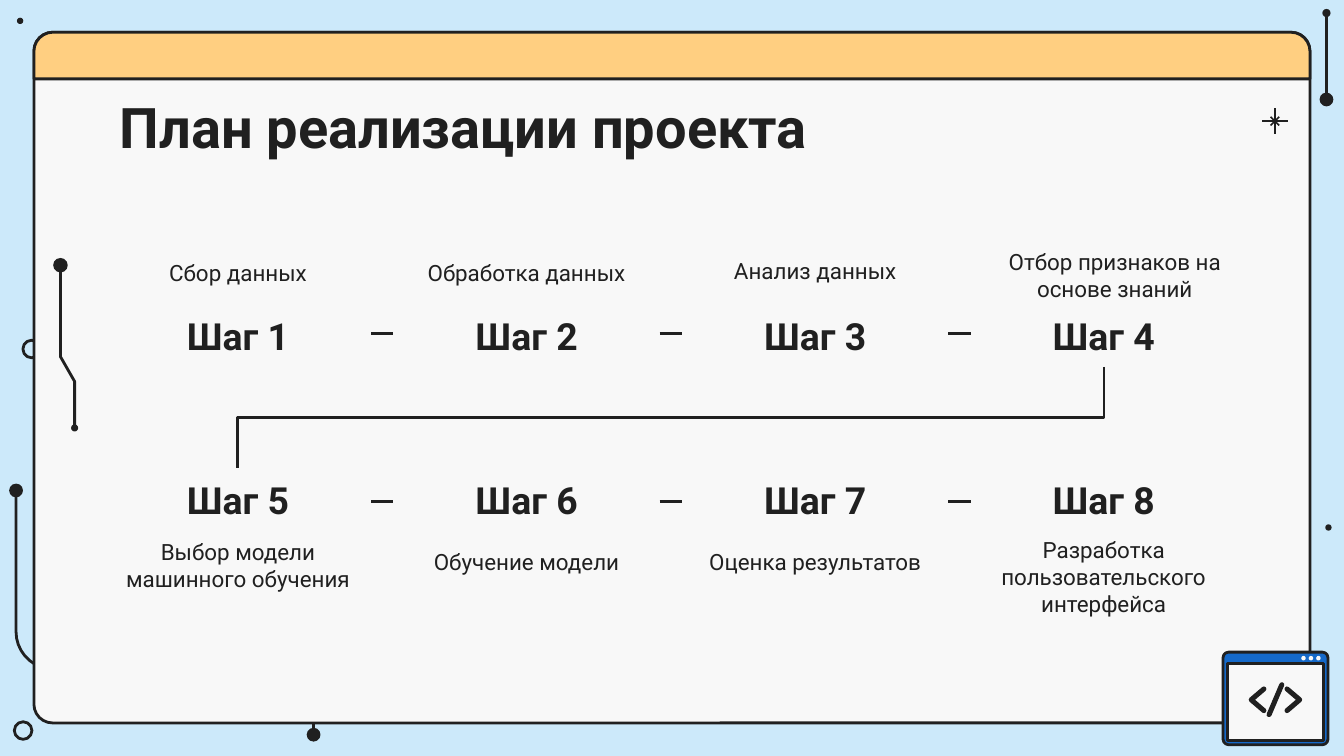
from dataclasses import dataclass
from math import cos, radians, sin

from lxml.etree import SubElement
from pptx import Presentation
from pptx.dml.color import RGBColor
from pptx.enum.shapes import MSO_CONNECTOR, MSO_SHAPE
from pptx.enum.text import MSO_ANCHOR, MSO_AUTO_SIZE, PP_ALIGN
from pptx.oxml.ns import qn
from pptx.util import Pt


@dataclass(frozen=True)
class Theme:
    sky: str = "CCE9FA"
    paper: str = "F8F8F8"
    ink: str = "202020"
    amber: str = "FFCF81"
    blue: str = "1569C9"
    font: str = "Roboto"
    title: float = 30
    step: float = 20
    body: float = 12
    stroke: float = 1.5


@dataclass(frozen=True)
class Box:
    x: float
    y: float
    w: float
    h: float


T = Theme()

# Label and its vertical nudge from the row's usual place
STEPS_ABOVE = [
    ("Сбор данных", 0),
    ("Обработка данных", 0),
    ("Анализ данных", -1.4),
    ("Отбор признаков на основе знаний", 8.6),
]
STEPS_BELOW = [
    ("Выбор модели машинного обучения", -5.8),
    ("Обучение модели", 0),
    ("Оценка результатов", 0),
    ("Разработка пользовательского интерфейса", -6.5),
]


def paint(fill, color):
    fill.solid()
    fill.fore_color.rgb = RGBColor.from_string(color)


def style(sp, fill=None, stroke=None):
    sp.shadow.inherit = False
    if fill:
        paint(sp.fill, fill)
    else:
        sp.fill.background()
    if stroke:
        paint(sp.line.fill, T.ink)
        sp.line.width = Pt(stroke)
    else:
        sp.line.fill.background()


def add_shape(s, kind, box, fill=None, stroke=None, adj=()):
    sp = s.shapes.add_shape(kind, Pt(box.x), Pt(box.y), Pt(box.w), Pt(box.h))
    for i, value in enumerate(adj):
        sp.adjustments[i] = value
    style(sp, fill, stroke)
    return sp


def add_dot(s, cx, cy, d, fill=T.ink, stroke=None):
    add_shape(s, MSO_SHAPE.OVAL, Box(cx - d / 2, cy - d / 2, d, d), fill, stroke)


def add_line(s, x1, y1, x2, y2, width=T.stroke, kind=MSO_CONNECTOR.STRAIGHT):
    c = s.shapes.add_connector(kind, Pt(x1), Pt(y1), Pt(x2), Pt(y2))
    paint(c.line.fill, T.ink)
    c.line.width = Pt(width)
    SubElement(c._element.spPr, qn("a:effectLst"))
    return c


def add_trace(s, points, width=T.stroke):
    """Draw an open polyline with round ends."""
    pts = [(Pt(x), Pt(y)) for x, y in points]
    builder = s.shapes.build_freeform(*pts[0])
    builder.add_line_segments(pts[1:], close=False)
    sp = builder.convert_to_shape()
    style(sp, stroke=width)
    sp.line._get_or_add_ln().set("cap", "rnd")


def write(sp, text, size, bold=False, align=PP_ALIGN.CENTER, anchor=MSO_ANCHOR.TOP):
    tf = sp.text_frame
    frame = {"word_wrap": True, "auto_size": MSO_AUTO_SIZE.NONE, "vertical_anchor": anchor}
    frame |= {f"margin_{side}": Pt(7.2) for side in ("left", "top", "right", "bottom")}
    for name, value in frame.items():
        setattr(tf, name, value)
    p = tf.paragraphs[0]
    p.alignment = align
    r = p.add_run()
    r.text = text
    for name, value in {"name": T.font, "size": Pt(size), "bold": bold}.items():
        setattr(r.font, name, value)
    r.font.color.rgb = RGBColor.from_string(T.ink)


def add_text(s, box, text, size, **options):
    sp = s.shapes.add_textbox(Pt(box.x), Pt(box.y), Pt(box.w), Pt(box.h))
    write(sp, text, size, **options)


def backdrop(s, box):
    """Circuit traces around the edge of the slide."""
    x, y, right = box.x, box.y, box.x + box.w
    add_dot(s, x + 17, y + 187, 9.4, None, T.stroke)
    add_dot(s, x + 12.4, y + 391.4, 9.4, None, T.stroke)
    corner = [(x + 28.8 - 20.2 * sin(radians(a)), y + 338.4 + 20.2 * cos(radians(a)))
              for a in range(0, 91, 10)]
    add_trace(s, [(x + 168, y + 393.6), (x + 168, y + 358.6), *corner, (x + 8.6, y + 262.8)])
    add_dot(s, x + 168, y + 393.6, 7.4)
    add_dot(s, x + 8.6, y + 262.8, 7.4)
    add_line(s, right - 9.4, y + 7, right - 9.4, y + 53.3)
    add_dot(s, right - 9.4, y + 53.3, 7.4)
    add_dot(s, right - 9.4, y + 7, 4.4)
    add_dot(s, x + 10.8, y + 11.2, 3.4)
    add_dot(s, right - 8.3, y + 282.6, 3.4)


def window(s, box):
    add_shape(s, MSO_SHAPE.ROUNDED_RECTANGLE, box, T.paper, T.stroke, [0.027])
    add_shape(s, MSO_SHAPE.ROUND_2_SAME_RECTANGLE, Box(box.x, box.y, box.w, 25),
              T.amber, T.stroke, [0.41, 0])
    cx, cy = box.x + 664.8, box.y + 47.6
    for dx, dy in [(0, 6.8), (6.8, 0), (2.3, 2.3), (2.3, -2.3)]:
        add_line(s, cx - dx, cy - dy, cx + dx, cy + dy, 0.9)
    x, y = box.x + 14.2, box.y + 124.8
    add_trace(s, [(x, y), (x, y + 49), (x + 7.6, y + 62.3), (x + 7.6, y + 87.2)])
    add_dot(s, x, y, 7.8)
    add_dot(s, x + 7.6, y + 87.2, 3.8)


def code_icon(s, box):
    add_shape(s, MSO_SHAPE.ROUNDED_RECTANGLE, box, T.blue, T.stroke, [0.06])
    add_shape(s, MSO_SHAPE.RECTANGLE, Box(box.x + 2.4, box.y + 6.3, box.w - 4.8, box.h - 8.6),
              T.paper, T.stroke)
    for i in range(3):
        add_dot(s, box.x + 43.1 + 4 * i, box.y + 3.2, 2.4, T.paper)
    cx, cy = box.x + box.w / 2, box.y + 25.5
    for side in (-1, 1):
        add_trace(s, [(cx + side * x, cy + y) for x, y in [(6.2, -5.8), (13, 0), (6.2, 5.8)]], 2.7)
    add_trace(s, [(cx + 3.4, cy - 8), (cx - 3.4, cy + 8)], 2.7)


def title(s, box, text):
    sp = s.shapes.title
    for name, value in zip(("left", "top", "width", "height"), (box.x, box.y, box.w, box.h)):
        setattr(sp, name, Pt(value))
    write(sp, text, T.title, bold=True, align=PP_ALIGN.LEFT)
    s.shapes._spTree.append(sp._element)  # bring in front of the window


def step_row(s, box, first, steps, above):
    """Numbered headings joined by dashes, with labels above or below them."""
    gap, label_h = 12, 23.8
    w = (box.w - gap * (len(steps) - 1)) / len(steps)
    near, far = MSO_ANCHOR.TOP, MSO_ANCHOR.BOTTOM
    if not above:
        near, far = far, near
    label_y = box.y - label_h if above else box.y + box.h
    for i, (label, nudge) in enumerate(steps):
        x = box.x + i * (w + gap)
        add_text(s, Box(x, box.y, w, box.h), f"Шаг {first + i}", T.step, bold=True, anchor=near)
        label_w = w + gap if above and i == len(steps) - 1 else w
        add_text(s, Box(x, label_y + nudge, label_w, label_h), label, T.body, anchor=far)
        if i:
            mid = box.y + box.h / 2
            add_line(s, x - gap, mid, x, mid)


def row_link(s, x1, y1, x2, y2):
    """Elbow that leaves downwards, crosses over and arrives downwards."""
    cx, cy = (x1 + x2) / 2, (y1 + y2) / 2
    w, h = y2 - y1, x1 - x2  # size before the quarter turn
    c = add_line(s, cx - w / 2, cy - h / 2, cx + w / 2, cy + h / 2, kind=MSO_CONNECTOR.ELBOW)
    c._element.spPr.xfrm.set("rot", str(90 * 60000))


def main():
    prs = Presentation()
    prs.slide_width, prs.slide_height = Pt(720), Pt(405)
    s = prs.slides.add_slide(prs.slide_layouts[5])
    paint(s.background.fill, T.sky)
    backdrop(s, Box(0, 0, 720, 405))
    window(s, Box(18.2, 17.3, 683.6, 370))
    code_icon(s, Box(655.2, 349.4, 56.2, 49.6))
    title(s, Box(56.9, 42.5, 607, 45.4), "План реализации проекта")
    top, bottom = Box(56.2, 160.6, 606.4, 36), Box(56.2, 250.7, 606.4, 36)
    step_row(s, top, 1, STEPS_ABOVE, above=True)
    step_row(s, bottom, 5, STEPS_BELOW, above=False)
    row_link(s, 591.4, top.y + top.h, 127.4, bottom.y)
    prs.save("out.pptx")


if __name__ == "__main__":
    main()
